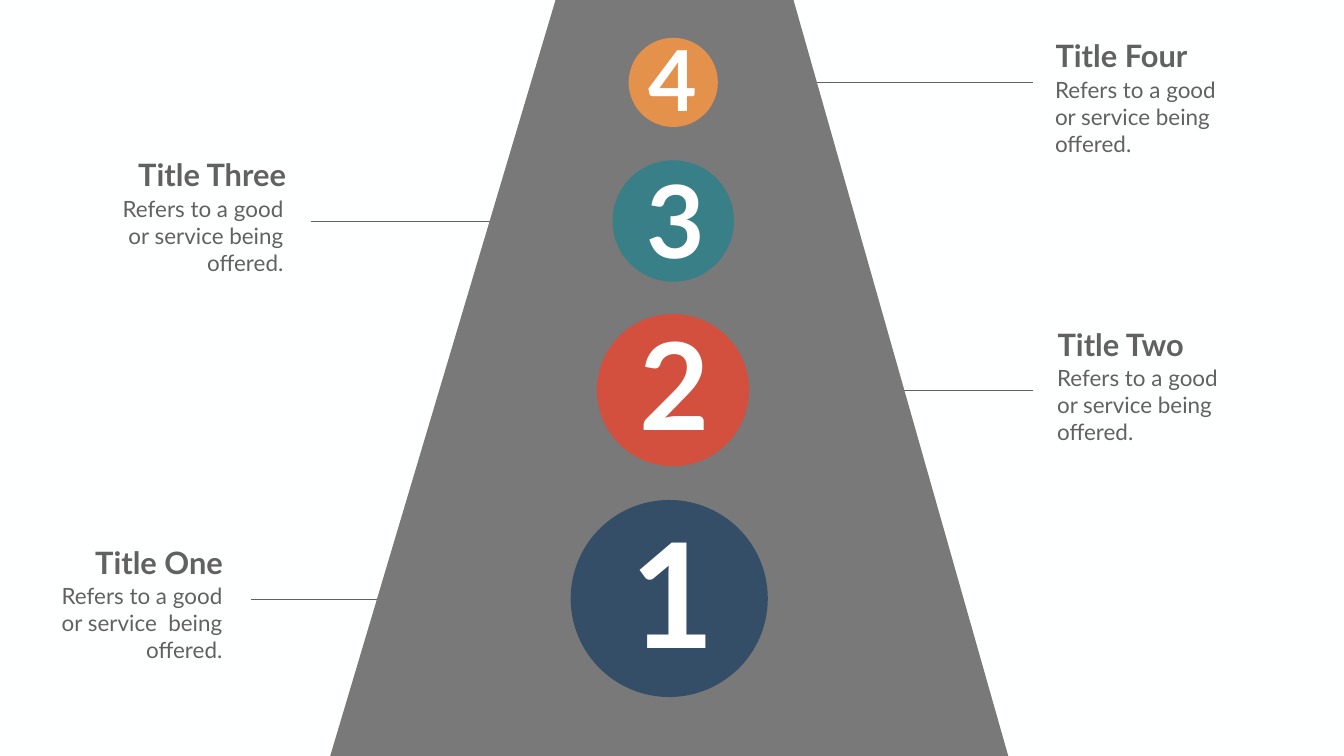
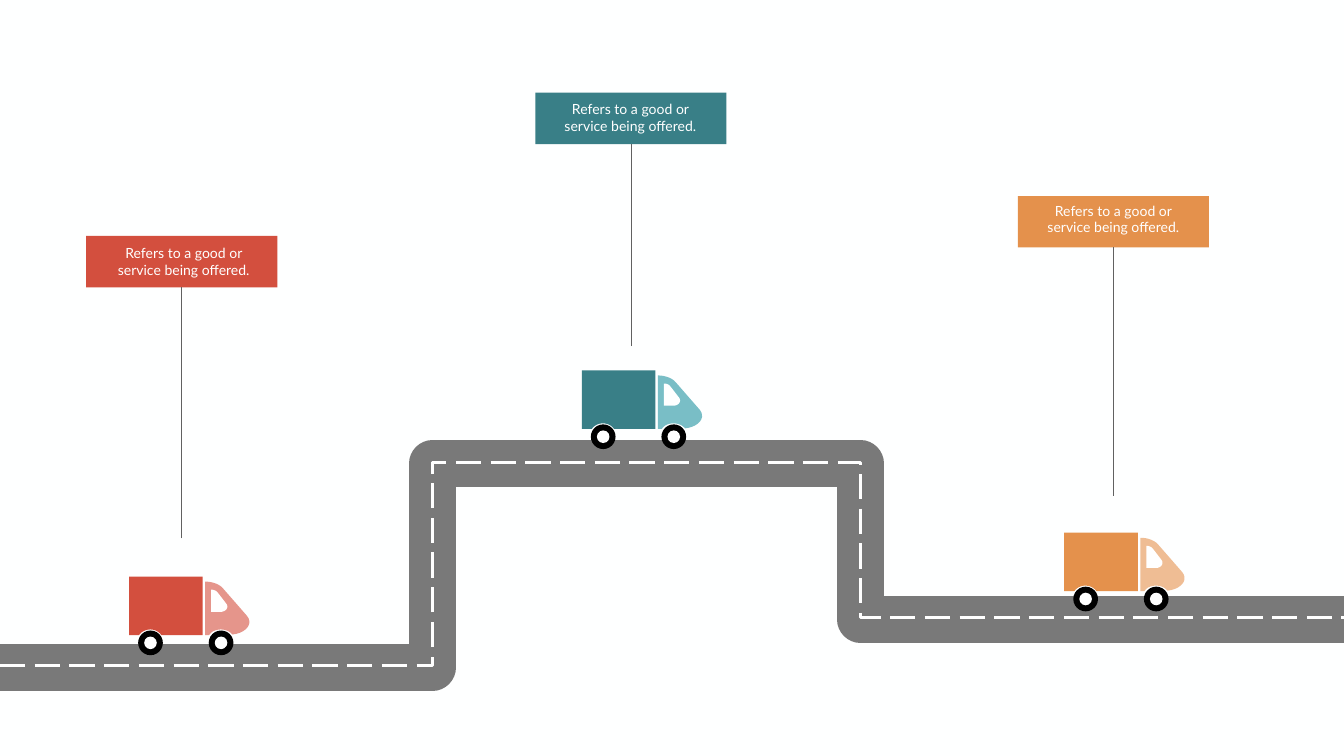
"""Build two road infographic slides: a numbered road and a delivery route."""
from lxml.etree import SubElement
from pptx import Presentation
from pptx.dml.color import RGBColor as RGB
from pptx.enum.dml import MSO_LINE
from pptx.enum.shapes import MSO_CONNECTOR as CONN, MSO_SHAPE as SHAPE
from pptx.enum.text import MSO_AUTO_SIZE as AUTO, PP_ALIGN as AL
from pptx.oxml.ns import qn
from pptx.util import Inches, Pt

COLORS = {
    "back": "FEFFFF", "white": "FFFFFF", "black": "000000", "text": "616161", "road": "797979",
    "navy": "354E67", "red": "D34F3E", "teal": "397F87", "orange": "E4914C",
    "red_light": "E5958B", "teal_light": "79BEC6", "orange_light": "EFBD94",
}
C = {name: RGB.from_string(value) for name, value in COLORS.items()}
OFFER = "Refers to a good or service being offered."


def add_text(s, box, text, size, color, align=AL.LEFT, bold=False, wrap=True):
    tf = s.shapes.add_textbox(*map(Inches, box)).text_frame
    tf.word_wrap = wrap
    tf.auto_size = AUTO.SHAPE_TO_FIT_TEXT
    p = tf.paragraphs[0]
    p.text = text
    p.alignment = align
    p.font.name, p.font.size, p.font.bold = "Lato", Pt(size), bold
    p.font.color.rgb = C[color]


def add_outline(s, steps, left=0, top=0, close=True):
    points = [steps[0]]
    for step in steps[1:]:
        if len(step) == 2:
            points.append(step)
            continue
        x0, y0 = points[-1]
        x1, y1, x2, y2, x3, y3 = step
        for t in (i / 10 for i in range(1, 11)):
            a, b, c, d = (1 - t) ** 3, 3 * t * (1 - t) ** 2, 3 * t * t * (1 - t), t ** 3
            points.append((a * x0 + b * x1 + c * x2 + d * x3, a * y0 + b * y1 + c * y2 + d * y3))
    points = [(Inches(left + x), Inches(top + y)) for x, y in points]
    fb = s.shapes.build_freeform(*points[0])
    fb.add_line_segments(points[1:], close=close)
    return fb.convert_to_shape()


prs = Presentation()
prs.slide_width, prs.slide_height = Inches(26.66), Inches(15)
numbers, route = [prs.slides.add_slide(prs.slide_layouts[6]) for _ in range(2)]
for s in prs.slides:
    s.background.fill.solid()
    s.background.fill.fore_color.rgb = C["back"]

for x1, x2, y in [(13.73, 20.49, 1.64), (13.73, 20.49, 7.74), (4.97, 10.47, 11.88), (6.16, 12.92, 4.38)]:
    line = numbers.shapes.add_connector(CONN.STRAIGHT, Inches(x1), Inches(y), Inches(x2), Inches(y))
    line.line.width = Pt(0.57)

sp = add_outline(numbers, [(11.02, 0), (6.55, 15), (20, 15), (15.74, 0)])
sp.fill.solid()
sp.fill.fore_color.rgb = C["road"]
sp.line.fill.background()

circles = [
    (11.32, 9.92, 3.91, "navy"), (11.84, 6.23, 3.02, "red"),
    (12.15, 3.18, 2.41, "teal"), (12.47, 0.75, 1.77, "orange"),
]
for x, y, size, color in circles:
    sp = numbers.shapes.add_shape(SHAPE.OVAL, *map(Inches, (x, y, size, size)))
    sp.fill.solid()
    sp.fill.fore_color.rgb = C[color]
    sp.line.fill.background()

topics = [
    ("Title Three", (2.61, 3.05, 3.2, 0.84), (2.32, 3.83), OFFER, AL.CENTER, AL.RIGHT),
    ("Title One", (1.77, 10.74, 2.77, 0.84), (1.11, 11.51),
     "Refers to a good or service  being offered.", AL.CENTER, AL.RIGHT),
    ("Title Four", (20.84, 0.68, 2.87, 0.84), (20.83, 1.46), OFFER, AL.LEFT, AL.LEFT),
    ("Title Two", (20.88, 6.41, 2.81, 0.84), (20.87, 7.18), OFFER, AL.LEFT, AL.LEFT),
]
for title, box, (x, y), body, title_align, body_align in topics:
    add_text(numbers, box, title, 44, "text", title_align, bold=True, wrap=False)
    add_text(numbers, (x, y, 3.4, 1.72), body, 32, "text", body_align)

digits = [
    ("1", (12.41, 9.93, 1.89, 3.6), 208), ("2", (12.58, 6.08, 1.61, 3.01), 173),
    ("3", (12.72, 3.07, 1.37, 2.52), 144), ("4", (12.76, 0.49, 1.18, 2.12), 120),
]
for digit, box, size in digits:
    add_text(numbers, box, digit, size, "white", bold=True, wrap=False)

ROUTE = [(0, 13.24), (8.58, 13.24), (8.58, 9.2), (17.07, 9.2), (17.07, 12.29), (26.75, 12.29)]
for top, color, width, dash in [(0, "road", 66.75, None), (-0.03, "white", 4.5, MSO_LINE.LONG_DASH)]:
    sp = add_outline(route, ROUTE, top=top, close=False)
    sp.fill.background()
    sp.line.color.rgb = C[color]
    sp.line.width = Pt(width)
    sp.line.dash_style = dash
    SubElement(sp.line._get_or_add_ln(), qn("a:round"))

CARGO = [
    (0, 0), (0, 1.16), (0.2, 1.16), (0.24, 1.1, 0.32, 1.05, 0.42, 1.05),
    (0.52, 1.05, 0.6, 1.1, 0.64, 1.16), (1.46, 1.16), (1.46, 0),
]
CAB = [
    (2.34, 0.78), (1.86, 0.23), (1.79, 0.15, 1.65, 0.1, 1.51, 0.1), (1.51, 1.16), (1.59, 1.16),
    (1.63, 1.09, 1.72, 1.05, 1.82, 1.05), (1.92, 1.05, 2, 1.09, 2.05, 1.15),
    (2.32, 1.12, 2.47, 0.94, 2.34, 0.78),
]
WINDOW = [
    (1.93, 0.54), (1.76, 0.32), (1.73, 0.28, 1.68, 0.26, 1.63, 0.26), (1.63, 0.7), (1.83, 0.7),
    (1.93, 0.69, 1.98, 0.61, 1.93, 0.54),
]
stops = [
    ("red", (2.56, 11.44), (1.71, 4.68), (2.08, 4.8), 10.68),
    ("teal", (11.54, 7.35), (10.62, 1.84), (10.94, 1.95), 6.87),
    ("orange", (21.11, 10.57), (20.19, 3.89), (20.52, 3.96), 9.84),
]
for color, (x, y), sign_at, text_at, line_end in stops:
    for steps, fill in [(CARGO, color), (CAB, color + "_light"), (WINDOW, "white")]:
        sp = add_outline(route, steps, x, y)
        sp.fill.solid()
        sp.fill.fore_color.rgb = C[fill]
        sp.line.fill.background()
    for wheel_x in (x + 1.58, x + 0.18):
        for inset, size, fill in [(0, 0.49, "black"), (0.12, 0.25, "white")]:
            box = (wheel_x + inset, y + 1.07 + inset, size, size)
            sp = route.shapes.add_shape(SHAPE.OVAL, *map(Inches, box))
            sp.fill.solid()
            sp.fill.fore_color.rgb = C[fill]
            sp.line.fill.background()

    sign = route.shapes.add_shape(SHAPE.RECTANGLE, *map(Inches, (*sign_at, 3.79, 1.02)))
    sign.fill.solid()
    sign.fill.fore_color.rgb = C[color]
    sign.line.fill.background()
    middle = sign.left + sign.width // 2
    line = route.shapes.add_connector(CONN.STRAIGHT, middle, Inches(line_end), middle, sign.top + sign.height)
    line.end_connect(sign, 2)
    line.line.width = Pt(0.88)
    add_text(route, (*text_at, 3.13, 0.77), OFFER, 20, "white", AL.CENTER)

for s in prs.slides:
    for sp in s.shapes:
        if hasattr(sp, "begin_x"):
            sp.line.color.rgb = C["text"]
            SubElement(sp._element.spPr, qn("a:effectLst"))
        else:
            sp.shadow.inherit = False

prs.save("out.pptx")
